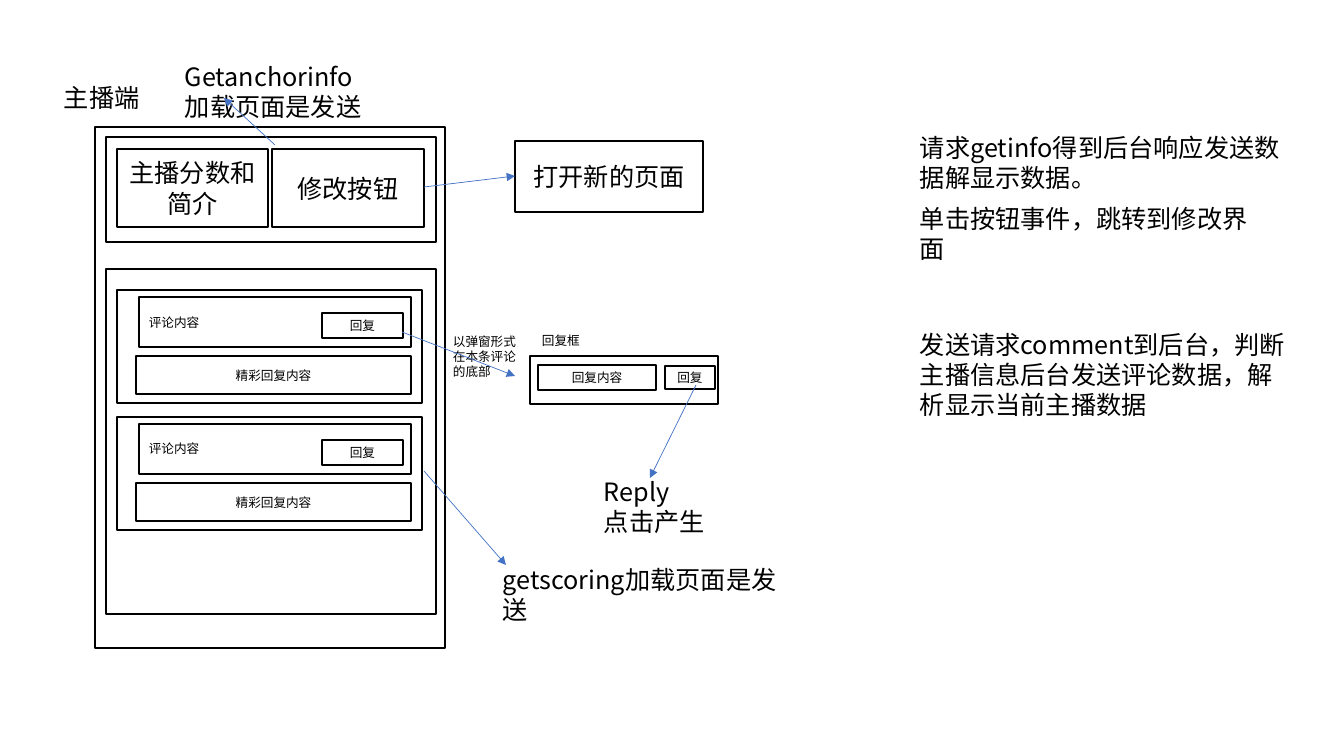
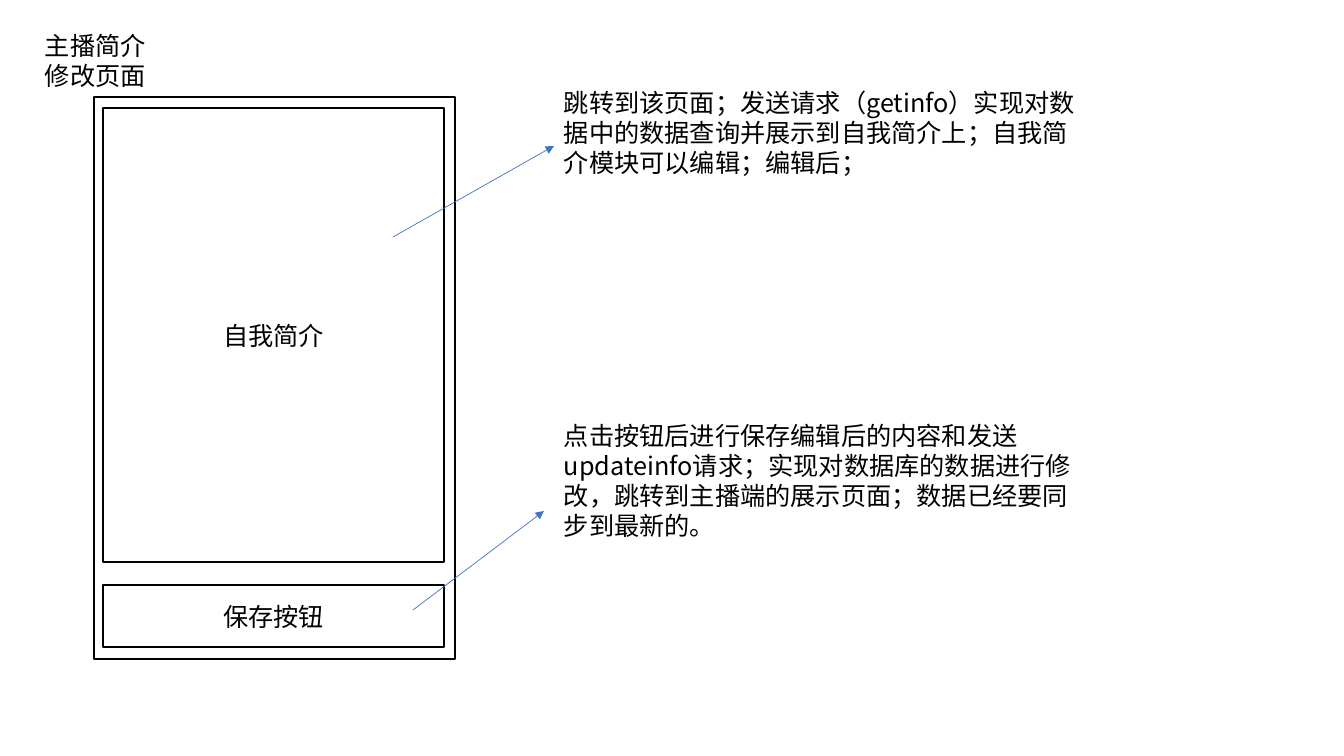
"""Build two wireframe slides: the anchor page and its profile editor."""
from lxml import etree
from pptx import Presentation
from pptx.dml.color import RGBColor
from pptx.enum import shapes, text
from pptx.oxml.ns import qn
from pptx.util import Emu, Pt

SCALE = 914400 / 100.8
FONT = "Noto Sans CJK SC"
HUES = {"ink": "000000", "paper": "FFFFFF", "arrow": "4472C4"}
HUES = {name: RGBColor.from_string(code) for name, code in HUES.items()}
LEFT, MID = text.PP_ALIGN.LEFT, text.PP_ALIGN.CENTER


def px(*sizes):
    return [Emu(round(size * SCALE)) for size in sizes]


def write(shape, words, size, align):
    frame = shape.text_frame
    frame.word_wrap = True
    frame.text = words
    for para in frame.paragraphs:
        para.alignment = align
        para.line_spacing = Pt(size * 1.2)
        para.font.size = Pt(size)
        para.font.color.rgb = HUES["ink"]
        para.font.name = FONT
        props = para._p.find(".//" + qn("a:defRPr"))
        etree.SubElement(props, qn("a:ea"), typeface=FONT)


cards = []
for top in (290, 417):
    cards += [
        (117, top, 305, 113, "", 9, MID),
        (139, top + 7, 272, 50, "评论内容", 9, LEFT),
        (322, top + 23, 81, 25, "回复", 9, MID),
        (136, top + 66, 275, 38, "精彩回复内容", 9, MID),
    ]

anchor = {
    "boxes": [
        (95, 127, 350, 521, "", 18, MID),
        (106, 269, 330, 345, "", 18, MID),
        (106, 137, 330, 105, "", 18, MID),
        (117, 149, 151, 78, "主播分数和简介", 18, MID),
        (272, 149, 152, 78, "修改按钮", 18, MID),
        *cards,
        (530, 356, 188, 48, "", 9, MID),
        (538, 365, 118, 25, "回复内容", 9, MID),
        (665, 366, 50, 23, "回复", 9, MID),
        (515, 141, 188, 71, "打开新的页面", 18, MID),
    ],
    "notes": [
        (54, 77, 176, 40, "主播端", 18),
        (910, 127, 396, 71, "请求getinfo得到后台响应发送数据解显示数据。", 18),
        (910, 324, 389, 102,
         "发送请求comment到后台，判断主播信息后台发送评论数据，解析显示当前主播数据", 18),
        (910, 198, 371, 71, "单击按钮事件，跳转到修改界面", 18),
        (532, 328, 66, 40, "回复框", 9),
        (443, 329, 86, 56, "以弹窗形式在本条评论的底部", 9),
        (175, 56, 227, 71, "Getanchorinfo\n加载页面是发送", 18),
        (594, 471, 136, 71, "Reply\n点击产生", 18),
        (493, 559, 313, 71, "getscoring加载页面是发送", 18),
    ],
    "arrows": [
        (402, 332, 515, 376),
        (424, 187, 515, 176),
        (275, 145, 224, 98),
        (696, 385, 650, 478),
        (424, 471, 506, 565),
    ],
}

editor = {
    "boxes": [
        (94, 97, 361, 562, "", 18, MID),
        (103, 108, 341, 454, "自我简介", 18, MID),
        (103, 585, 341, 62, "保存按钮", 18, MID),
    ],
    "notes": [
        (554, 82, 542, 101,
         "跳转到该页面；发送请求（getinfo）实现对数据中的数据查询并展示到自我简介上；"
         "自我简介模块可以编辑；编辑后；", 18),
        (554, 415, 542, 131,
         "点击按钮后进行保存编辑后的内容和发送updateinfo请求；实现对数据库的数据进行修改，"
         "跳转到主播端的展示页面；数据已经要同步到最新的。", 18),
        (35, 25, 134, 71, "主播简介修改页面", 18),
    ],
    "arrows": [
        (393, 237, 554, 146),
        (413, 610, 544, 511),
    ],
}

deck = Presentation()
deck.slide_width, deck.slide_height = px(1344, 756)

for page in (anchor, editor):
    slide = deck.slides.add_slide(deck.slide_layouts[6])

    for *place, words, size, align in page["boxes"]:
        box = slide.shapes.add_shape(shapes.MSO_SHAPE.RECTANGLE, *px(*place))
        box.shadow.inherit = False
        box.fill.solid()
        box.fill.fore_color.rgb = HUES["paper"]
        box.line.color.rgb = HUES["ink"]
        box.line.width = Pt(1)
        if words:
            write(box, words, size, align)

    for *place, words, size in page["notes"]:
        write(slide.shapes.add_textbox(*px(*place)), words, size, LEFT)

    for ends in page["arrows"]:
        arrow = slide.shapes.add_connector(shapes.MSO_CONNECTOR.STRAIGHT, *px(*ends))
        arrow.line.color.rgb = HUES["arrow"]
        arrow.line.width = Pt(0.5)
        etree.SubElement(arrow.line._get_or_add_ln(), qn("a:tailEnd"), type="triangle")
        etree.SubElement(arrow._element.spPr, qn("a:effectLst"))

deck.save("out.pptx")
